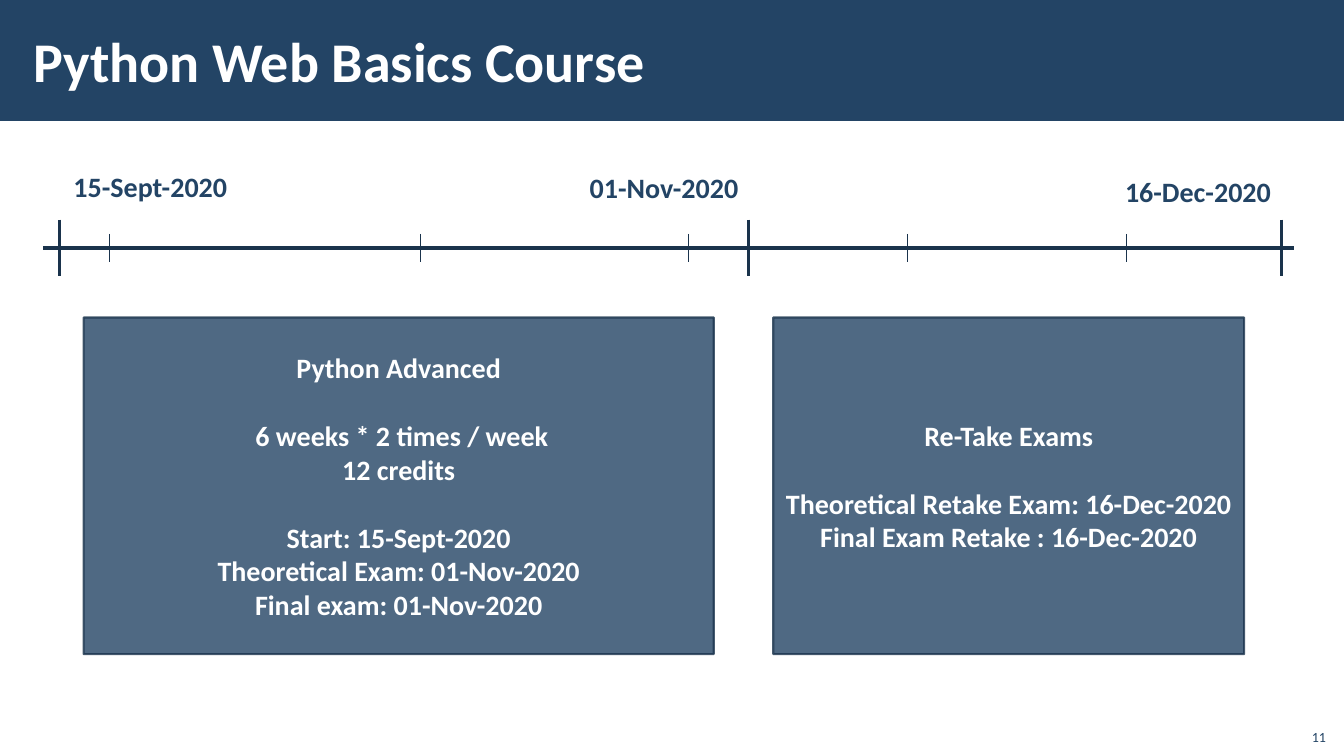
from lxml.etree import SubElement
from pptx import Presentation
from pptx.dml.color import RGBColor
from pptx.enum.shapes import MSO_CONNECTOR, MSO_SHAPE
from pptx.enum.text import MSO_ANCHOR, PP_ALIGN
from pptx.oxml.ns import qn
from pptx.util import Inches, Pt

WIDTH, HEIGHT = 13.33, 7.5
FONT = "Calibri"
COLORS = {"navy": "234465", "line": "1A334C", "white": "FFFFFF"}

TITLE = "Python Web Basics Course"
SLIDE_NUMBER = "11"

# Each box holds groups of lines; an empty line's height separates the groups.
BOXES = [
    {"left": 0.83, "width": 6.25, "groups": [
        ["Python Advanced"],
        [" 6 weeks * 2 times / week", "12 credits"],
        ["Start: 15-Sept-2020", "Theoretical Exam: 01-Nov-2020",
         "Final exam: 01-Nov-2020"]]},
    {"left": 7.67, "width": 4.67, "groups": [
        ["Re-Take Exams"],
        ["Theoretical Retake Exam: 16-Dec-2020",
         "Final Exam Retake : 16-Dec-2020"]]},
]
BOX_TOP, BOX_HEIGHT = 3.15, 3.34

# Dates: text, left, top, width
DATES = [
    ("15-Sept-2020", 0.63, 1.63, 1.75),
    ("01-Nov-2020", 5.75, 1.64, 1.69),
    ("16-Dec-2020", 11.06, 1.68, 1.66),
]
DATE_HEIGHT = 0.44

AXIS_LEFT, AXIS_RIGHT, AXIS_Y = 0.43, 12.83, 2.46
TICKS = [  # positions, length, line width in points
    ((0.59, 7.42, 12.71), 0.56, 2.25),
    ((1.08, 4.17, 6.83, 9, 11.17), 0.28, 0.5),
]


def color(name):
    """Return the named palette colour."""
    return RGBColor.from_string(COLORS[name])


def set_opacity(color_format_fill, percent):
    """Give a solid fill element's colour the stated opacity."""
    for element in color_format_fill.iter(qn("a:srgbClr")):
        SubElement(element, qn("a:alpha")).set("val", str(percent * 1000))


def write_text(shape, groups, size=20, tint="white", bold=True,
               align=PP_ALIGN.LEFT, anchor=MSO_ANCHOR.TOP, wrap=True,
               margins=(0.1, 0.05)):
    """Fill a shape with groups of lines, one line's height between groups."""
    frame = shape.text_frame
    frame.word_wrap = wrap
    frame.vertical_anchor = anchor
    frame.margin_left = frame.margin_right = Inches(margins[0])
    frame.margin_top = frame.margin_bottom = Inches(margins[1])
    paragraph = None
    for group in groups:
        for index, line in enumerate(group):
            starts_group = paragraph is not None and index == 0
            paragraph = (frame.paragraphs[0] if paragraph is None
                         else frame.add_paragraph())
            paragraph.alignment = align
            if starts_group:
                paragraph.space_before = Pt(size * 1.22)
            run = paragraph.add_run()
            run.text = line
            run.font.name = FONT
            run.font.size = Pt(size)
            run.font.bold = bold
            run.font.color.rgb = color(tint)


def add_text(slide, text, left, top, width, height, **text_format):
    """Add a one-line text box."""
    shape = slide.shapes.add_textbox(*map(Inches, (left, top, width, height)))
    write_text(shape, [[text]], **text_format)


def add_box(slide, left, top, width, height, opacity=100, outline=None):
    """Add a navy rectangle, outlined when a line width is given."""
    shape = slide.shapes.add_shape(
        MSO_SHAPE.RECTANGLE, *map(Inches, (left, top, width, height)))
    shape.shadow.inherit = False
    shape.fill.solid()
    shape.fill.fore_color.rgb = color("navy")
    if outline:
        shape.line.color.rgb = color("line")
        shape.line.width = Pt(outline)
    else:
        shape.line.fill.background()
    if opacity < 100:
        set_opacity(shape.element.spPr, opacity)
    return shape


def add_line(slide, start_x, start_y, end_x, end_y, weight):
    """Add a straight timeline line without a shadow."""
    line = slide.shapes.add_connector(
        MSO_CONNECTOR.STRAIGHT, *map(Inches, (start_x, start_y, end_x, end_y)))
    line.line.color.rgb = color("line")
    line.line.width = Pt(weight)
    SubElement(line.element.spPr, qn("a:effectLst"))


def build():
    """Build the slide and save it."""
    presentation = Presentation()
    presentation.slide_width = Inches(WIDTH)
    presentation.slide_height = Inches(HEIGHT)
    slide = presentation.slides.add_slide(presentation.slide_layouts[6])

    add_box(slide, 0, 0, WIDTH, 1.2)
    add_text(slide, TITLE, 0.21, 0.11, 10.63, 0.97, size=40,
             anchor=MSO_ANCHOR.MIDDLE, margins=(0.12, 0.04))
    add_text(slide, SLIDE_NUMBER, 12.85, 7.12, 0.4, 0.32, size=10,
             tint="navy", bold=False, align=PP_ALIGN.RIGHT,
             anchor=MSO_ANCHOR.BOTTOM)

    add_line(slide, AXIS_LEFT, AXIS_Y, AXIS_RIGHT, AXIS_Y, 2.25)
    for positions, length, weight in TICKS:
        for x in positions:
            add_line(slide, x, AXIS_Y - length / 2, x, AXIS_Y + length / 2,
                     weight)
    for text, left, top, width in DATES:
        add_text(slide, text, left, top, width, DATE_HEIGHT, tint="navy",
                 wrap=False)

    for box in BOXES:
        shape = add_box(slide, box["left"], BOX_TOP, box["width"], BOX_HEIGHT,
                        opacity=80, outline=1.5)
        write_text(shape, box["groups"], align=PP_ALIGN.CENTER,
                   anchor=MSO_ANCHOR.MIDDLE)

    presentation.save("out.pptx")


build()
